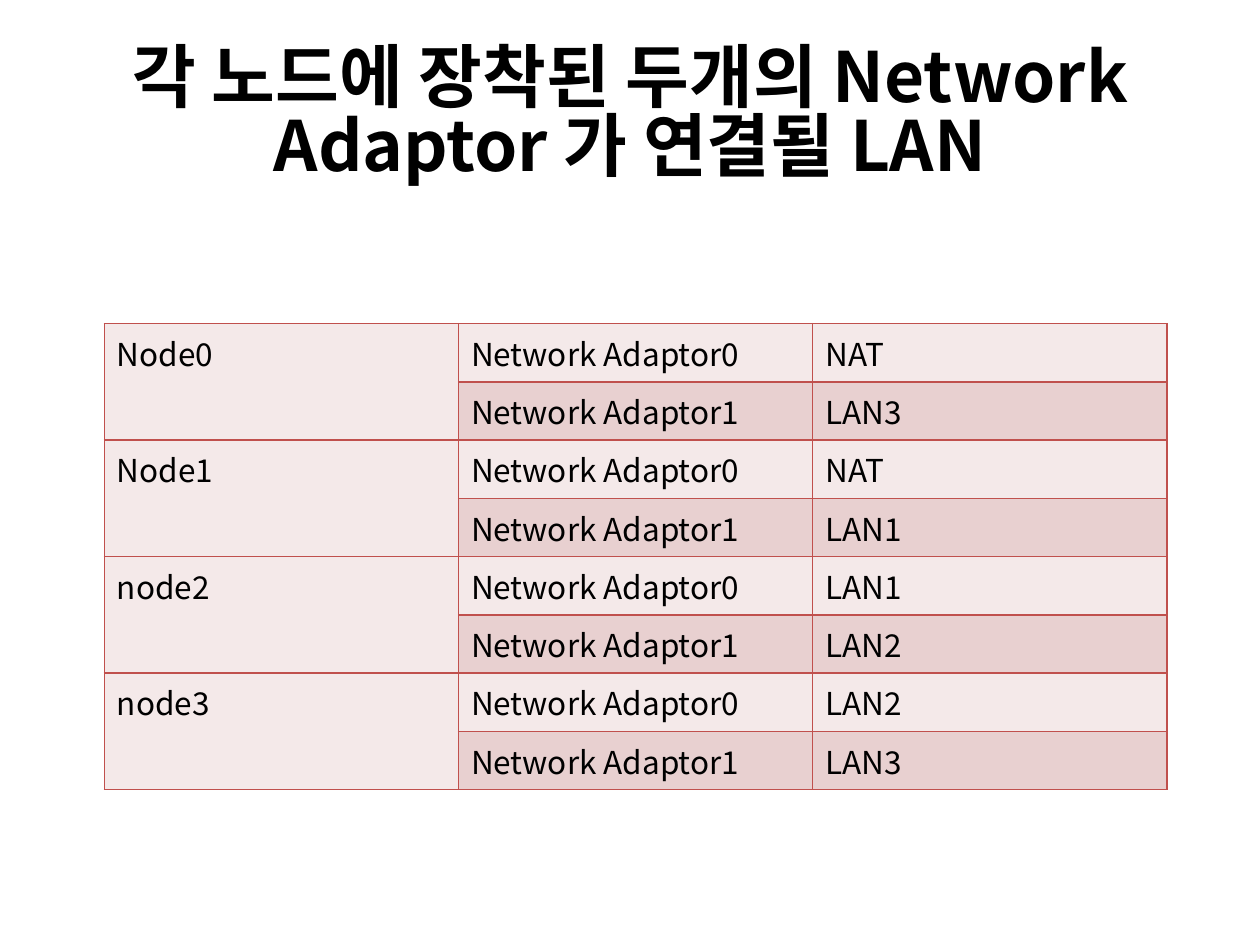
from pptx import Presentation
from pptx.dml.color import RGBColor
from pptx.enum import text
from pptx.oxml import parse_xml
from pptx.oxml import ns
from pptx.util import Pt

FONT = "Noto Sans CJK KR"
COLORS = {"text": "000000", "border": "C0504D", "light": "F4E9E9", "dark": "E8D0D0"}
NODES = [
    ("Node0", "NAT", "LAN3"),
    ("Node1", "NAT", "LAN1"),
    ("node2", "LAN1", "LAN2"),
    ("node3", "LAN2", "LAN3"),
]


def format_paragraph(p, size, bold=False):
    p.font.name = FONT
    p.font.size = Pt(size)
    p.font.bold = bold
    p.font.color.rgb = RGBColor.from_string(COLORS["text"])
    for r in p.runs:
        r._r.get_or_add_rPr().append(
            parse_xml(f'<a:ea {ns.nsdecls("a")} typeface="{FONT}"/>')
        )


def add_title(s, title):
    sp = s.shapes.title
    sp.left, sp.top, sp.width, sp.height = Pt(36), Pt(21.6), Pt(648), Pt(90)
    tf = sp.text_frame
    tf.text = title
    tf.word_wrap = True
    tf.auto_size = text.MSO_AUTO_SIZE.NONE
    tf.vertical_anchor = text.MSO_ANCHOR.MIDDLE
    p = tf.paragraphs[0]
    p.alignment = text.PP_ALIGN.CENTER
    p.line_spacing = 0.83
    format_paragraph(p, 39.6, bold=True)


def set_borders(cell):
    tcPr = cell._tc.get_or_add_tcPr()
    for i, side in enumerate(("lnL", "lnR", "lnT", "lnB")):
        tcPr.insert(i, parse_xml(
            f'<a:{side} {ns.nsdecls("a")} w="{Pt(1)}"><a:solidFill>'
            f'<a:srgbClr val="{COLORS["border"]}"/></a:solidFill></a:{side}>'
        ))


def format_cell(cell, value, fill):
    cell.text = value
    cell.fill.solid()
    cell.fill.fore_color.rgb = RGBColor.from_string(COLORS[fill])
    set_borders(cell)
    format_paragraph(cell.text_frame.paragraphs[0], 18)


def add_lan_table(s):
    rows = 2 * len(NODES)
    frame = s.shapes.add_table(rows, 3, Pt(59.6), Pt(184.9), Pt(607.2), Pt(29.2 * rows))
    table = frame.table
    table.first_row = False
    table.horz_banding = False
    for i, (node, *lans) in enumerate(NODES):
        for j, lan in enumerate(lans):
            row = 2 * i + j
            fill = ("light", "dark")[j]
            format_cell(table.cell(row, 0), "" if j else node, "light")
            format_cell(table.cell(row, 1), f"Network Adaptor{j}", fill)
            format_cell(table.cell(row, 2), lan, fill)
        table.cell(2 * i, 0).merge(table.cell(2 * i + 1, 0))


def main():
    prs = Presentation()
    prs.slide_width, prs.slide_height = Pt(720), Pt(540)
    s = prs.slides.add_slide(prs.slide_layouts[5])
    add_title(s, "각 노드에 장착된 두개의 Network Adaptor 가 연결될 LAN")
    add_lan_table(s)
    prs.save("out.pptx")


if __name__ == "__main__":
    main()
